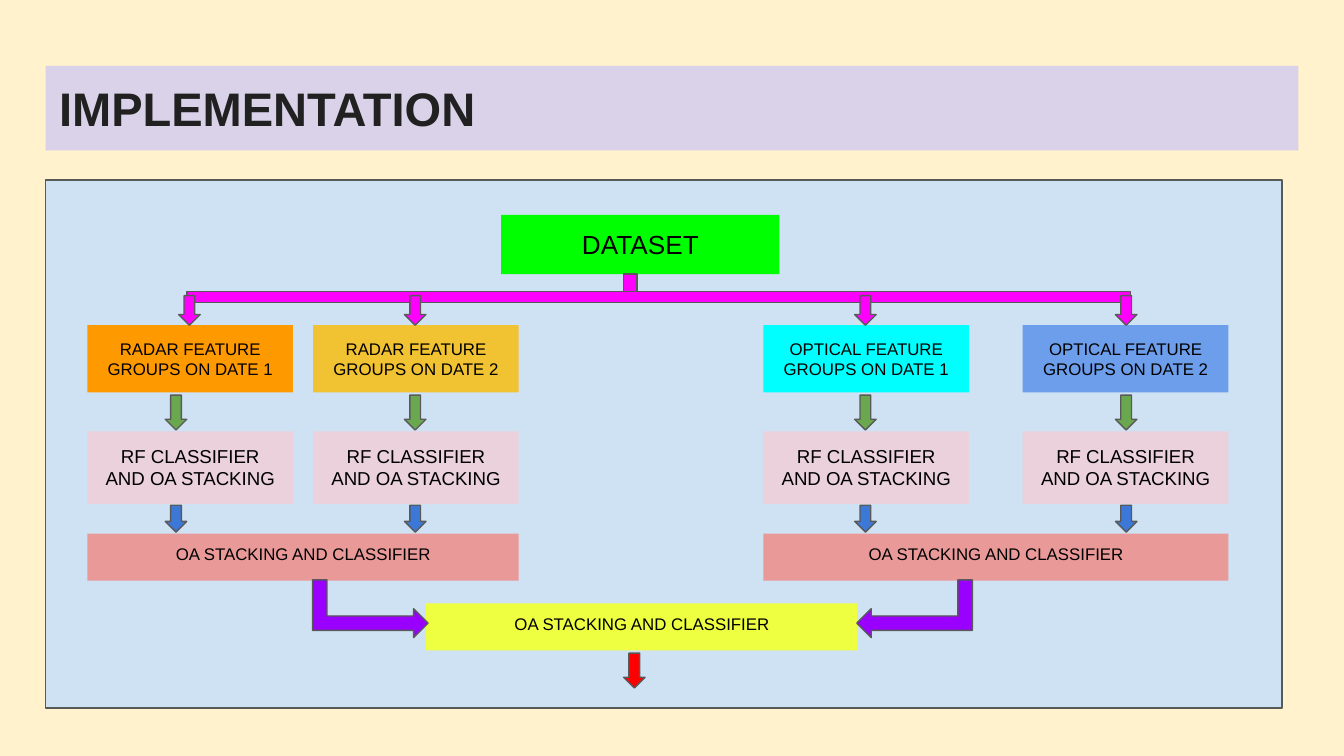
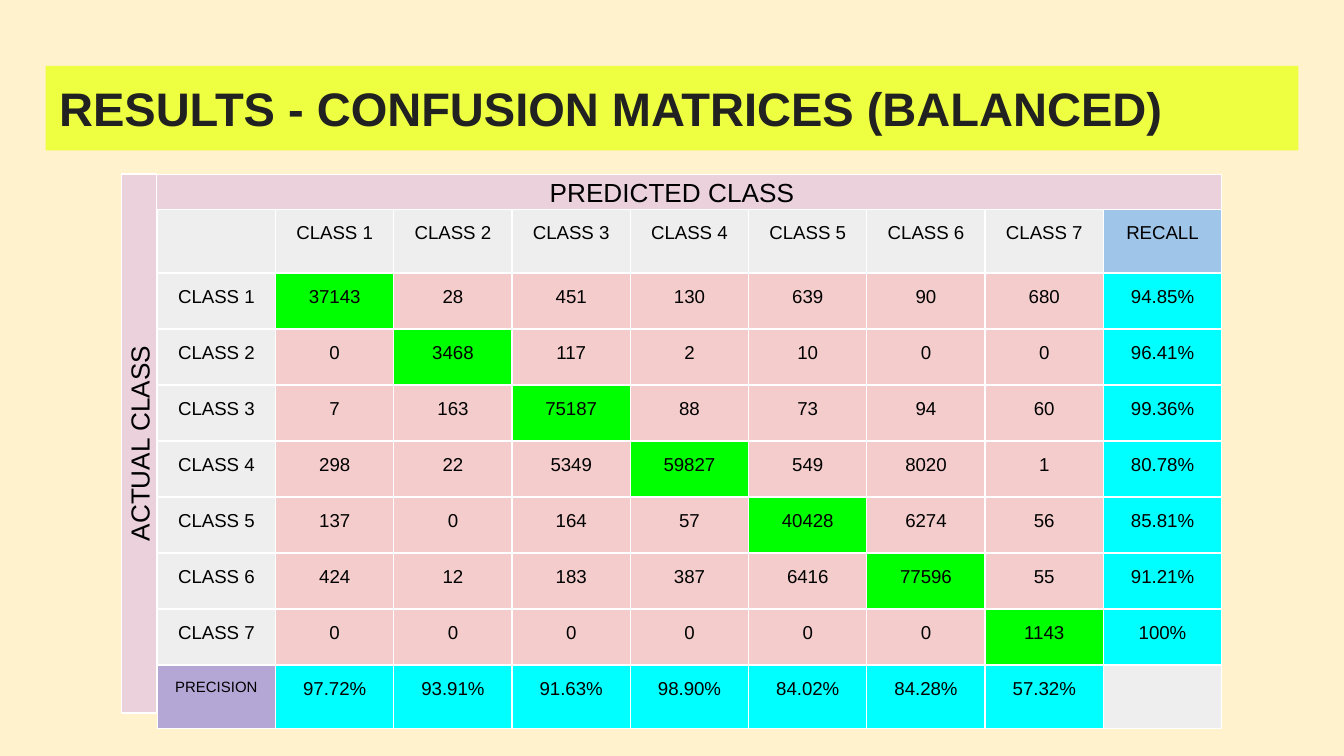
from lxml import etree
from pptx import Presentation
from pptx.dml.color import RGBColor
from pptx.enum.shapes import MSO_SHAPE as SHAPE
from pptx.enum.text import MSO_ANCHOR as ANCHOR, MSO_AUTO_SIZE as AUTO, PP_ALIGN as ALIGN
from pptx.oxml.ns import qn
from pptx.util import Inches, Pt

COLORS = {
    "cream": "FFF2CC", "lavender": "D9D2E9", "yellow": "EEFF41", "ink": "212121",
    "black": "000000", "white": "FFFFFF", "gray": "595959", "panel": "CFE2F3",
    "green": "00FF00", "orange": "FF9900", "gold": "F1C232", "cyan": "00FFFF",
    "blue": "6D9EEB", "pink": "EAD1DC", "salmon": "EA9999", "magenta": "FF00FF",
    "leaf": "6AA84F", "royal": "3C78D8", "violet": "9900FF", "red": "FF0000",
    "light": "EEEEEE", "sky": "9FC5E8", "rose": "F4CCCC", "purple": "B4A7D6",
}
RGB = {name: RGBColor.from_string(value) for name, value in COLORS.items()}


def write(tf, text, size=10, color="black", bold=False, align=ALIGN.CENTER,
          anchor=ANCHOR.TOP, fit=AUTO.NONE):
    tf.word_wrap = True
    tf.auto_size = fit
    tf.vertical_anchor = anchor
    tf.margin_left = tf.margin_right = tf.margin_top = tf.margin_bottom = Inches(0.1)
    p = tf.paragraphs[0]
    p.alignment = align
    r = p.add_run()
    r.text = text
    r.font.name = "Arial"
    r.font.size = Pt(size)
    r.font.bold = bold
    r.font.color.rgb = RGB[color]


def add_shape(s, kind, x, y, w, h, fill, line=None):
    sp = s.shapes.add_shape(kind, Inches(x), Inches(y), Inches(w), Inches(h))
    sp.shadow.inherit = False
    sp.fill.solid()
    sp.fill.fore_color.rgb = RGB[fill]
    if line:
        sp.line.color.rgb = RGB[line]
        sp.line.width = Pt(0.75)
    else:
        sp.line.fill.background()
    return sp


prs = Presentation()
prs.slide_width = Inches(10)
prs.slide_height = Inches(10 * 9 / 16)
bg = prs.slide_master.background.fill
bg.solid()
bg.fore_color.rgb = RGB["cream"]

slides = []
for text, band in [("IMPLEMENTATION", "lavender"),
                   ("RESULTS - CONFUSION MATRICES (BALANCED)", "yellow")]:
    s = prs.slides.add_slide(prs.slide_layouts[5])
    title = s.shapes.title
    title.left, title.top = Inches(0.34), Inches(0.49)
    title.width, title.height = Inches(9.32), Inches(0.63)
    title.fill.solid()
    title.fill.fore_color.rgb = RGB[band]
    write(title.text_frame, text, size=25.2, color="ink", bold=True,
          align=ALIGN.LEFT, anchor=ANCHOR.MIDDLE)
    slides.append(s)
flow, results = slides

add_shape(flow, SHAPE.RECTANGLE, 0.34, 1.34, 9.2, 3.93, "panel", "gray")

groups = [
    (0.65, "RADAR FEATURE GROUPS ON DATE 1", "orange"),
    (2.33, "RADAR FEATURE GROUPS ON DATE 2", "gold"),
    (5.68, "OPTICAL FEATURE GROUPS ON DATE 1", "cyan"),
    (7.61, "OPTICAL FEATURE GROUPS ON DATE 2", "blue"),
]
boxes = [("DATASET", 3.73, 1.6, 2.07, 0.44, "green", 14)]
for x, text, fill in groups:
    boxes.append((text, x, 2.42, 1.53, 0.5, fill, 9))
    boxes.append(("RF CLASSIFIER AND OA STACKING", x, 3.21, 1.53, 0.54, "pink", 10))
for x, y, w, fill in [(0.65, 3.97, 3.21, "salmon"), (5.68, 3.97, 3.46, "salmon"),
                      (3.17, 4.49, 3.21, "yellow")]:
    boxes.append(("OA STACKING AND CLASSIFIER", x, y, w, 0.35, fill, 9))
for text, x, y, w, h, fill, size in boxes:
    sp = add_shape(flow, SHAPE.RECTANGLE, x, y, w, h, fill)
    write(sp.text_frame, text, size=size, fit=AUTO.SHAPE_TO_FIT_TEXT)

add_shape(flow, SHAPE.RECTANGLE, 4.64, 2.04, 0.1, 0.2, "magenta", "gray")
add_shape(flow, SHAPE.RECTANGLE, 1.39, 2.17, 7.02, 0.08, "magenta", "gray")
for first, y, h, fill in [(1.33, 2.2, 0.22, "magenta"), (1.23, 2.94, 0.26, "leaf"),
                          (1.23, 3.76, 0.2, "royal")]:
    for x in (first, 3.01, 6.36, 8.3):
        add_shape(flow, SHAPE.DOWN_ARROW, x, y, 0.16, h, fill, "gray")
for x, rotation in [(2.54, 90), (6.59, 270)]:
    sp = add_shape(flow, SHAPE.BENT_UP_ARROW, x, 4.1, 0.43, 0.86, "violet", "gray")
    sp.rotation = rotation
sp._element.spPr.xfrm.set("flipH", "1")
add_shape(flow, SHAPE.DOWN_ARROW, 4.64, 4.86, 0.16, 0.26, "red", "gray")

classes = [f"CLASS {n}" for n in range(1, 8)]
counts = [
    [37143, 28, 451, 130, 639, 90, 680],
    [0, 3468, 117, 2, 10, 0, 0],
    [7, 163, 75187, 88, 73, 94, 60],
    [298, 22, 5349, 59827, 549, 8020, 1],
    [137, 0, 164, 57, 40428, 6274, 56],
    [424, 12, 183, 387, 6416, 77596, 55],
    [0, 0, 0, 0, 0, 0, 1143],
]
recall = ["94.85%", "96.41%", "99.36%", "80.78%", "85.81%", "91.21%", "100%"]
precision = ["97.72%", "93.91%", "91.63%", "98.90%", "84.02%", "84.28%", "57.32%"]
rows = [["", *classes, "RECALL"]]
rows += [[name, *values, rate] for name, values, rate in zip(classes, counts, recall)]
rows.append(["PRECISION", *precision, ""])
corner_fills = {(0, 0): "light", (0, 8): "sky", (8, 0): "purple", (8, 8): "light"}

table = results.shapes.add_table(9, 9, Inches(1.17), Inches(1.56),
                                 Inches(7.92), Inches(3.75)).table
table.first_row = table.horz_banding = False
for column in table.columns:
    column.width = Inches(0.88)
for row in table.rows:
    row.height = Inches(3.75 / 9)
for i, row in enumerate(rows):
    for j, value in enumerate(row):
        cell = table.cell(i, j)
        cell.margin_left = cell.margin_right = Inches(0.1)
        cell.margin_top = cell.margin_bottom = Inches(0.1)
        if (i, j) in corner_fills:
            fill = corner_fills[i, j]
        elif i == 0 or j == 0:
            fill = "light"
        elif i == 8 or j == 8:
            fill = "cyan"
        else:
            fill = "green" if i == j else "rose"
        tcPr = cell._tc.get_or_add_tcPr()
        for side in ("lnL", "lnR", "lnT", "lnB"):
            ln = etree.SubElement(tcPr, qn(f"a:{side}"), w=str(Pt(0.75)))
            solid = etree.SubElement(ln, qn("a:solidFill"))
            etree.SubElement(solid, qn("a:srgbClr"), val=COLORS["white"])
        cell.fill.solid()
        cell.fill.fore_color.rgb = RGB[fill]
        if value == "":
            p = cell.text_frame.paragraphs[0]
            end = etree.SubElement(p._p, qn("a:endParaRPr"), sz="1750")
            etree.SubElement(end, qn("a:latin"), typeface="Arial")
        else:
            write(cell.text_frame, str(value), size=8 if value == "PRECISION" else 10)

for text, x, y, w, rotation in [("PREDICTED CLASS", 0.91, 1.3, 8.18, 0),
                                ("ACTUAL CLASS", -0.97, 3.17, 4.01, 270)]:
    sp = add_shape(results, SHAPE.RECTANGLE, x, y, w, 0.26, "pink", "white")
    sp.rotation = rotation
    write(sp.text_frame, text, size=14, anchor=ANCHOR.MIDDLE)

prs.save("out.pptx")
